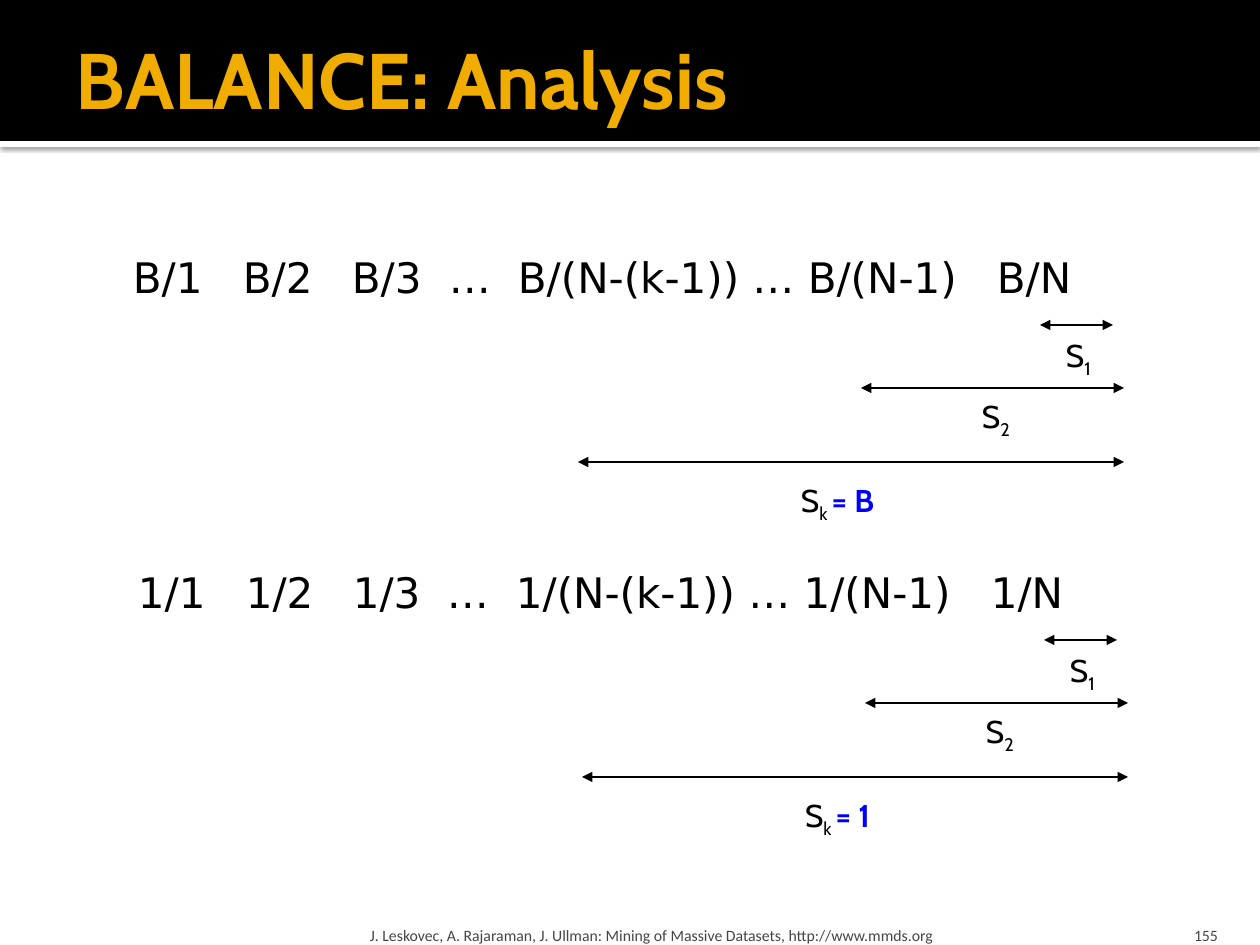
from lxml import etree
from pptx import Presentation
from pptx.dml.color import RGBColor
from pptx.enum.shapes import MSO_CONNECTOR, MSO_SHAPE
from pptx.enum.text import MSO_ANCHOR, PP_ALIGN
from pptx.oxml.ns import qn
from pptx.util import Emu, Pt

STRAIGHT = MSO_CONNECTOR.STRAIGHT
RECTANGLE = MSO_SHAPE.RECTANGLE
TOP, MIDDLE, BOTTOM = MSO_ANCHOR.TOP, MSO_ANCHOR.MIDDLE, MSO_ANCHOR.BOTTOM
LEFT, RIGHT = PP_ALIGN.LEFT, PP_ALIGN.RIGHT

PX = 914400 / 126
COLORS = {
    "black": "000000",
    "white": "FFFFFF",
    "title": "F0AD00",
    "result": "0000FF",
    "footer": "454545",
}


def px(*lengths):
    """Turn pixel lengths into EMU."""
    return [Emu(round(length * PX)) for length in lengths]


def add_text(box, runs, insets=(13, 6, 13, 6), anchor=TOP, align=LEFT, wrap=True, tabs=()):
    """Add a text box; runs are (text, color, font format, baseline) and tabs are px stops."""
    frame = slide.shapes.add_textbox(*px(*box)).text_frame
    sides = ("margin_left", "margin_top", "margin_right", "margin_bottom")
    settings = dict(zip(sides, px(*insets)), word_wrap=wrap, vertical_anchor=anchor)
    for name, value in settings.items():
        setattr(frame, name, value)
    paragraph = frame.paragraphs[0]
    paragraph.alignment = align
    if tabs:
        tab_list = etree.SubElement(paragraph._p.get_or_add_pPr(), qn("a:tabLst"))
        for stop in px(*tabs):
            etree.SubElement(tab_list, qn("a:tab"), pos=str(stop), algn="l")
    for text, color, font_format, baseline in runs:
        run = paragraph.add_run()
        run.text = text
        for name, value in font_format.items():
            setattr(run.font, name, value)
        run.font.color.rgb = RGBColor.from_string(COLORS[color])
        if baseline:
            run.font._element.set("baseline", str(baseline))


presentation = Presentation()
presentation.slide_width, presentation.slide_height = px(1260, 945)
slide = presentation.slides.add_slide(presentation.slide_layouts[6])

# Header band above a white strip that casts a shadow
for top, height, color in [(141, 6, "white"), (0, 141, "black")]:
    band = slide.shapes.add_shape(RECTANGLE, *px(0, top, 1260, height))
    band.shadow.inherit = False
    band.fill.solid()
    band.fill.fore_color.rgb = RGBColor.from_string(COLORS[color])
    band.line.fill.background()
    if color == "white":
        effects = band._element.spPr.find(qn("a:effectLst"))
        shadow = etree.SubElement(effects, qn("a:outerShdw"), blurRad=str(Pt(2.5)),
                                  dist=str(Pt(0.8)), dir="5400000", rotWithShape="0")
        shadow_color = etree.SubElement(shadow, qn("a:srgbClr"), val=COLORS["black"])
        etree.SubElement(shadow_color, qn("a:alpha"), val="60000")

title_format = {"name": "Cabin", "size": Pt(45), "bold": True}
add_text((63, 10, 1134, 136), [("BALANCE: Analysis", "title", title_format, 0)],
         insets=(13, 6, 6, 6), anchor=MIDDLE)

# Two series, each with the spans of its partial sums
series_format = {"name": "DejaVu Sans", "size": Pt(24)}
sum_format = {"name": "Cabin", "size": Pt(18)}
result_format = {**sum_format, "bold": True}
series = [
    ("B", 120, (110, 219, 316, 385, 864), 0, 0),
    ("1", 125, (108, 215, 309, 378, 853), 4, 315),
]
spans = [  # subscript, arrow start, arrow end, arrow y, label left, label top, label width
    ("1", 1040, 1113, 325, 1053, 330, 60),
    ("2", 861, 1124, 388, 969, 391, 60),
    ("k", 578, 1124, 462, 788, 475, 107),
]
for numerator, left, tabs, shift_x, shift_y in series:
    denominators = ["1", "2", "3"]
    terms = [f"{numerator}/{denominator}" for denominator in denominators]
    terms += ["…", f"{numerator}/(N-(k-1)) … {numerator}/(N-1)", f"{numerator}/N"]
    add_text((left, 246 + shift_y, 1034, 63),
             [("\t".join(terms), "black", series_format, 0)], tabs=tabs)

    for subscript, start, end, arrow_y, label_left, label_top, label_width in spans:
        y = arrow_y + shift_y
        arrow = slide.shapes.add_connector(
            STRAIGHT, *px(start + shift_x, y, end + shift_x, y))
        arrow.line.width = Pt(0.75)
        arrow.line.color.rgb = RGBColor.from_string(COLORS["black"])
        for tag in ("a:headEnd", "a:tailEnd"):
            etree.SubElement(arrow.line._get_or_add_ln(), qn(tag), type="triangle")
        etree.SubElement(arrow._element.spPr, qn("a:effectLst"))

        runs = [("S", "black", sum_format, 0)]
        if subscript == "k":
            runs += [("k ", "black", sum_format, -25000),
                     (f"= {numerator}", "result", result_format, 0)]
        else:
            runs.append((subscript, "black", sum_format, -25000))
        add_text((label_left + shift_x, label_top + shift_y, label_width, 50), runs, wrap=False)

# Footer
footer_format = {"name": "Calibri", "size": Pt(9)}
citation = "J. Leskovec, A. Rajaraman, J. Ullman: Mining of Massive Datasets, http://www.mmds.org"
add_text((1130, 907, 101, 38), [("155", "footer", footer_format, 0)],
         insets=(13, 6, 13, 0), anchor=BOTTOM, align=RIGHT)
add_text((364, 907, 759, 38), [(citation, "footer", footer_format, 0)],
         insets=(6, 6, 6, 0), anchor=BOTTOM)

presentation.save("out.pptx")
